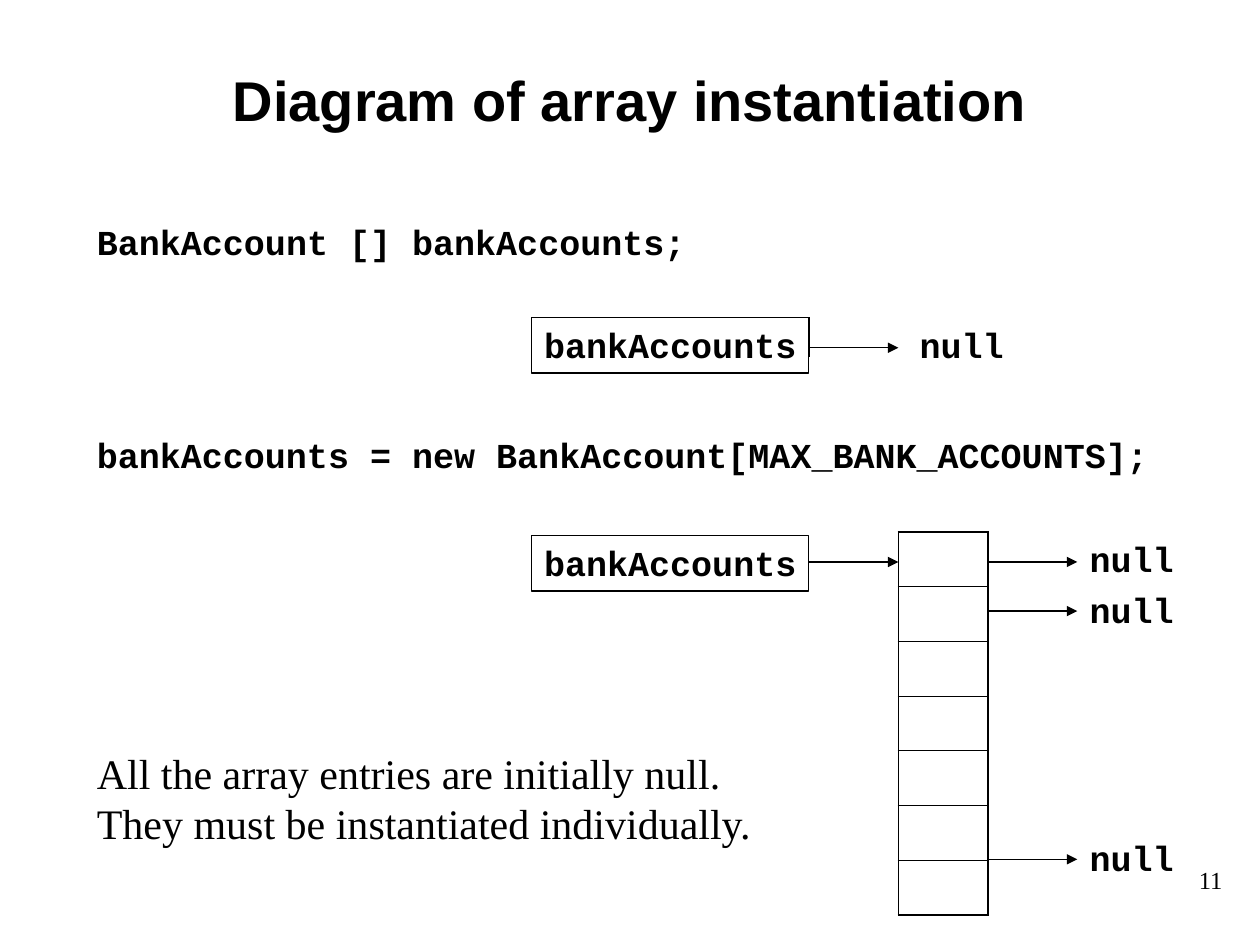
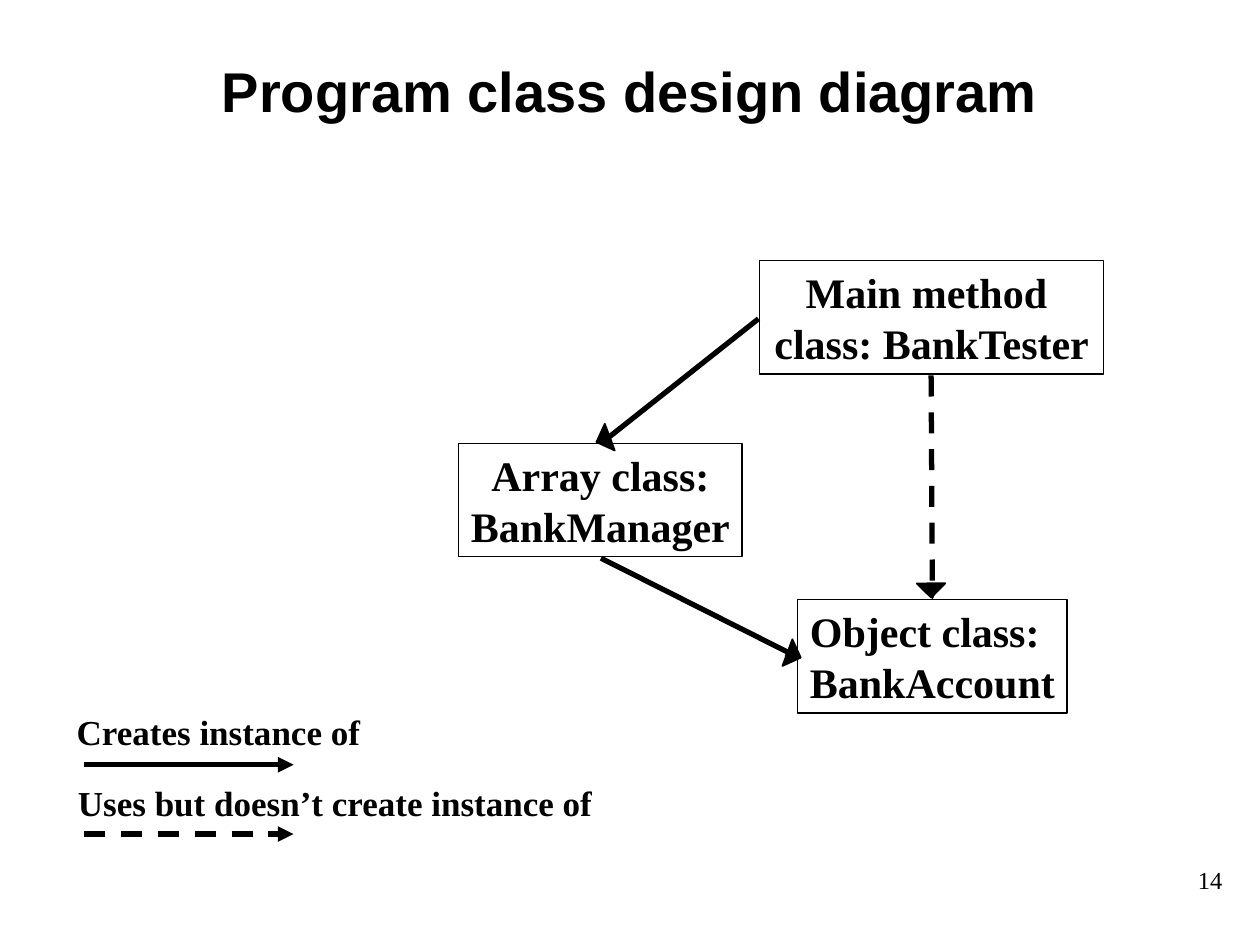
from lxml import etree
from pptx import Presentation
from pptx import util as u
from pptx.dml.color import RGBColor
from pptx.enum import dml, shapes, text
from pptx.oxml import ns

BLACK = RGBColor(0x00, 0x00, 0x00)
SANS, MONO, SERIF = "Arial", "Courier New", "Times New Roman"
THIN, THICK = 0.75, 3
LINE = 0.44      # height of a one-line text
PAIR = 0.9       # height of a two-line text
LEFT = 0.67

# Array diagram: columns run from the name box through the cells to the nulls
NAME, CELL, STEP = 4.22, 7.13, 0.71
EDGE = NAME + 2.2
ROWS, TOP, TALL = 7, 4.22, 3.04
CODE = [
    ("BankAccount [] bankAccounts;", 1.7, 5.51),
    ("bankAccounts = new BankAccount[MAX_BANK_ACCOUNTS];", 3.39, 8.74),
]
NAMES = [("bankAccounts", 2.52), ("bankAccounts", 4.25)]
NULLS = [(7.2, 2.52), (8.55, 4.22), (8.55, 4.62), (8.55, 6.59)]
HEADS = [(EDGE, 2.76), (EDGE, 4.46), (CELL + STEP, 4.46),
         (CELL + STEP, 4.85), (CELL + STEP, 6.82)]
NOTE = "All the array entries are initially null.\nThey must be instantiated individually."

# Class diagram: text, left, top, width, alignment
MID, START = text.PP_ALIGN.CENTER, text.PP_ALIGN.LEFT
CLASSES = [
    ("Main method \nclass: BankTester", 6.03, 2.07, 2.73, MID),
    ("Array class:\nBankManager", 3.64, 3.52, 2.25, MID),
    ("Object class:\nBankAccount", 6.33, 4.76, 2.14, START),
]
# from, to, dashed
LINKS = [
    ((6.02, 2.53), (4.77, 3.52), False),
    ((4.77, 4.43), (6.32, 5.21), False),
    ((7.39, 2.98), (7.4, 4.76), True),
]
# left, top, turn, flipped
TIPS = [(6.17, 5.1, 335.4, True), (7.31, 4.55, 44.8, True), (4.76, 3.39, 24.6, False)]
# text, left, top, width, height of its arrow, dashed
LEGEND = [
    ("Creates instance of", 0.51, 5.59, 2.45, 6.07, False),
    ("Uses but doesn’t create instance of", 0.52, 6.15, 4.29, 6.62, True),
]


def inch(*sizes):
    return [u.Inches(s) for s in sizes]


def style(frame, font, size, bold, align):
    for para in frame.paragraphs:
        para.alignment = align
        for run in para.runs:
            run.font.name, run.font.size, run.font.bold = font, u.Pt(size), bold
            run.font.color.rgb = BLACK


def label(slide, words, left, top, width, font, size, bold=True,
          align=START, height=LINE, wrap=False):
    item = slide.shapes.add_textbox(*inch(left, top, width, height))
    frame = item.text_frame
    frame.text = words
    frame.word_wrap = wrap
    frame.auto_size = text.MSO_AUTO_SIZE.SHAPE_TO_FIT_TEXT
    style(frame, font, size, bold, align)


def box(slide, words, left, top, width, font, size, align=START, height=LINE):
    """Add an outlined box whose side margins leave room for its longest line."""
    item = slide.shapes.add_shape(
        shapes.MSO_SHAPE.RECTANGLE, *inch(left, top, width, height))
    item.shadow.inherit = False
    item.fill.background()
    item.line.color.rgb, item.line.width = BLACK, u.Pt(THIN)
    frame = item.text_frame
    frame.text = words
    frame.word_wrap = True
    frame.vertical_anchor = text.MSO_ANCHOR.TOP
    frame.margin_left = u.Inches(0.1 if align == START else 0)
    frame.margin_right = 0
    style(frame, font, size, True, align)


def link(slide, start, end, width=THIN, dashed=False, head="med"):
    item = slide.shapes.add_connector(
        shapes.MSO_CONNECTOR.STRAIGHT, *inch(*start, *end))
    item.line.color.rgb, item.line.width = BLACK, u.Pt(width)
    if dashed:
        item.line.dash_style = dml.MSO_LINE.DASH
    if head:
        etree.SubElement(item.line._get_or_add_ln(), ns.qn("a:tailEnd"),
                         type="triangle", w=head, len=head)
    etree.SubElement(item._element.spPr, ns.qn("a:effectLst"))


def start(deck, words, height, page):
    """Add a slide with its title and page number."""
    slide = deck.slides.add_slide(deck.slide_layouts[5])
    title = slide.shapes.title
    title.left, title.top, title.width, title.height = inch(0.75, 0.28, 8.5, height)
    frame = title.text_frame
    frame.text = words
    frame.auto_size = text.MSO_AUTO_SIZE.NONE
    frame.vertical_anchor = text.MSO_ANCHOR.MIDDLE
    style(frame, SANS, 32, True, MID)
    label(slide, page, 8.39, 6.82, 1.41, SERIF, 14, False,
          text.PP_ALIGN.RIGHT, wrap=True)
    return slide


def border(cell, sides):
    """Draw cell sides, given as (tag, points) in the order L, R, T, B."""
    props = cell._tc.get_or_add_tcPr()
    for spot, (tag, width) in enumerate(sides):
        line = etree.Element(ns.qn("a:" + tag), w=str(u.Pt(width)))
        fill = etree.SubElement(line, ns.qn("a:solidFill"))
        etree.SubElement(fill, ns.qn("a:srgbClr"), val=str(BLACK))
        props.insert(spot, line)


def cells(slide):
    grid = slide.shapes.add_table(ROWS, 1, *inch(CELL, TOP, STEP, TALL)).table
    grid.first_row = grid.horz_banding = False
    for row in range(ROWS):
        cell = grid.cell(row, 0)
        cell.fill.background()
        border(cell, [("lnL", 1.08), ("lnR", 1.08),
                      ("lnT", 1.08 if row == 0 else 0.45),
                      ("lnB", 1.08 if row == ROWS - 1 else 0.45)])


def array(deck):
    slide = start(deck, "Diagram of array instantiation", 1.02, "11")
    for words, top, width in CODE:
        label(slide, words, LEFT, top, width, MONO, 20, wrap=True)
    for words, top in NAMES:
        box(slide, words, NAME, top, EDGE - NAME, MONO, 20)
    for left, top in NULLS:
        label(slide, "null", left, top, 0.87, MONO, 20)
    for left, top in HEADS:
        link(slide, (left, top), (left + STEP, top))
    link(slide, (EDGE, 2.52), (EDGE, 2.83), head=None)
    label(slide, NOTE, LEFT, 5.88, 5.41, SERIF, 24, False, height=PAIR)
    cells(slide)


def design(deck):
    slide = start(deck, "Program class design diagram", 0.87, "14")
    for words, left, top, width, align in CLASSES:
        box(slide, words, left, top, width, SERIF, 24, align, PAIR)
    for words, left, top, width, level, dashed in LEGEND:
        label(slide, words, left, top, width, SERIF, 20)
        link(slide, (LEFT, level), (2.33, level), THICK, dashed)
    for tail, tip, dashed in LINKS:
        link(slide, tail, tip, THICK, dashed, "sm")
    for left, top, turn, flipped in TIPS:
        item = slide.shapes.add_shape(
            shapes.MSO_SHAPE.RIGHT_TRIANGLE, *inch(left, top, 0.16, 0.16))
        item.shadow.inherit = False
        item.fill.solid()
        item.fill.fore_color.rgb = item.line.color.rgb = BLACK
        item.line.width = u.Pt(1)
        item.rotation = turn
        if flipped:
            item._element.spPr.xfrm.set("flipH", "1")


def main():
    deck = Presentation()
    deck.slide_width, deck.slide_height = inch(10, 7.5)
    array(deck)
    design(deck)
    deck.save("out.pptx")


if __name__ == "__main__":
    main()
